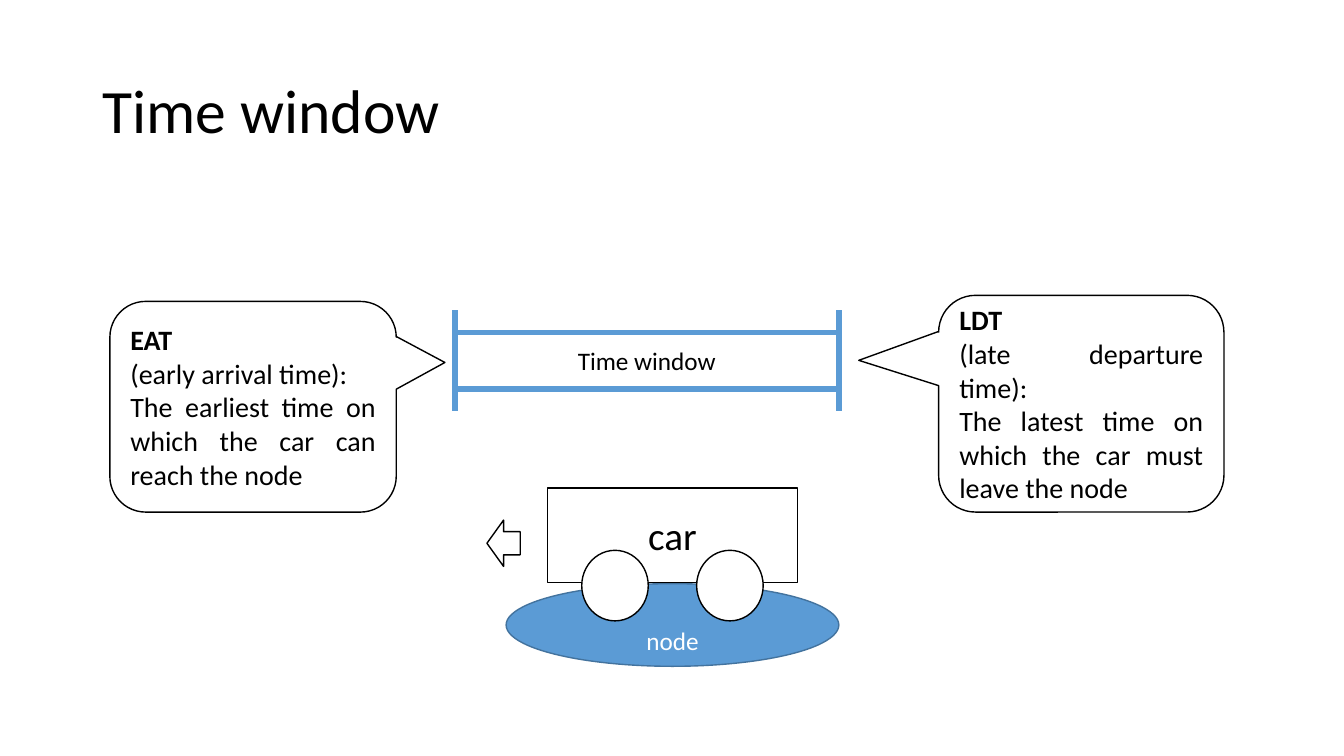
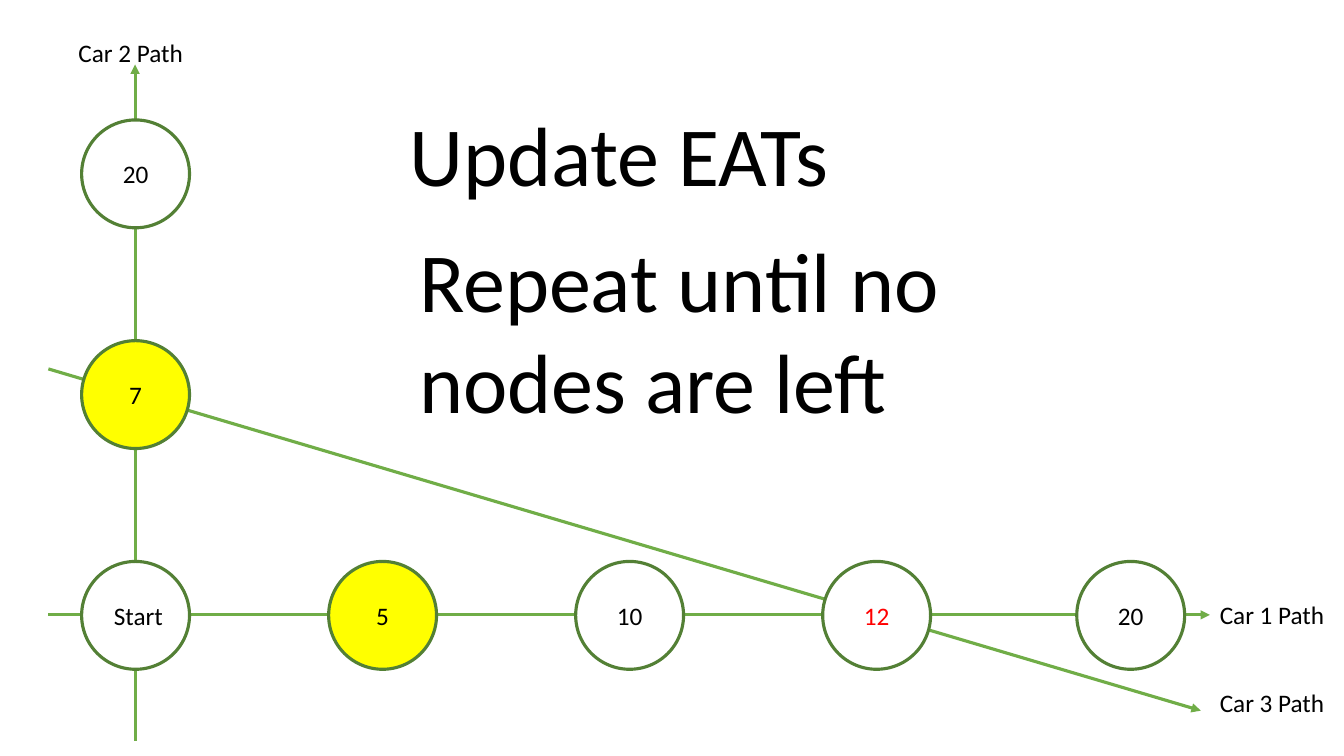
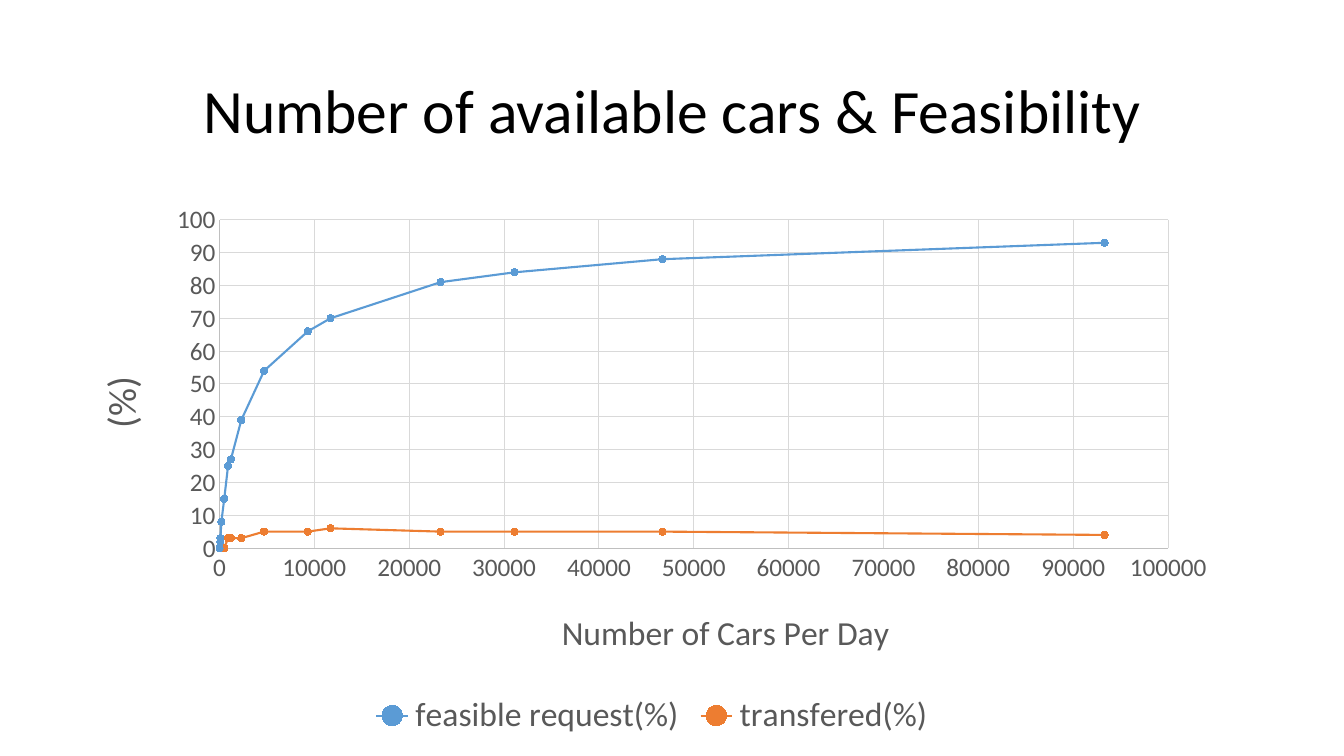
from lxml import etree
from pptx import Presentation
from pptx import util as u
from pptx.chart.data import XyChartData
from pptx.dml.color import RGBColor
from pptx.enum import chart as charts, shapes, text
from pptx.oxml.ns import qn

FONT = "Calibri"
BLACK = RGBColor(0x00, 0x00, 0x00)
WHITE = RGBColor(0xFF, 0xFF, 0xFF)
RED = RGBColor(0xFF, 0x00, 0x00)
YELLOW = RGBColor(0xFF, 0xFF, 0x00)
BLUE = RGBColor(0x5B, 0x9B, 0xD5)
DARK_BLUE = RGBColor(0x43, 0x73, 0x9E)
GREEN = RGBColor(0x70, 0xAD, 0x47)
DARK_GREEN = RGBColor(0x53, 0x80, 0x35)
ORANGE = RGBColor(0xED, 0x7D, 0x31)
GRAY = RGBColor(0x59, 0x59, 0x59)
AXIS_GRAY = RGBColor(0xBF, 0xBF, 0xBF)
GRID_GRAY = RGBColor(0xD9, 0xD9, 0xD9)

SHAPE = shapes.MSO_SHAPE
ALIGN = text.PP_ALIGN
ANCHOR = text.MSO_ANCHOR

NODE_SIZE = 1.07
COLUMN_STEP, ROW_STEP = 2.45, 2.19
START_LEFT, START_TOP = 0.81, 5.57

CARS_PER_DAY = [0, 0, 100, 100, 200, 500, 900, 1200, 2300, 4700, 9300,
                11700, 23300, 31100, 46700, 93300]
SERIES = [
    ("feasible request(%)", BLUE,
     [0, 0, 2, 3, 8, 15, 25, 27, 39, 54, 66, 70, 81, 84, 88, 93]),
    ("transfered(%)", ORANGE,
     [0, 0, 0, 0, 0, 0, 3, 3, 3, 5, 5, 6, 5, 5, 5, 4]),
]


def inches(values):
    return [u.Inches(value) for value in values]


def style_font(font, size, color, bold=False):
    font.name = FONT
    font.size = u.Pt(size)
    font.color.rgb = color
    font.bold = bold


def style_line(line, color, width):
    line.color.rgb = color
    line.width = u.Pt(width)


def write_text(frame, content, size=18, color=BLACK, align=ALIGN.LEFT,
               anchor=ANCHOR.TOP, bold_first=False, line_spacing=None):
    """Fill a text frame; each line of content becomes a paragraph."""
    frame.text = content
    frame.word_wrap = True
    frame.vertical_anchor = anchor
    for index, paragraph in enumerate(frame.paragraphs):
        paragraph.alignment = align
        paragraph.line_spacing = line_spacing
        for run in paragraph.runs:
            style_font(run.font, size, color, bold_first and index == 0)


def add_text(slide, box, content, **text_format):
    text_box = slide.shapes.add_textbox(*inches(box))
    write_text(text_box.text_frame, content, **text_format)


def add_title(slide, content, align=ALIGN.LEFT):
    add_text(slide, (0.92, 0.4, 11.5, 1.45), content, size=44, align=align,
             anchor=ANCHOR.MIDDLE, line_spacing=0.9)


def add_box(slide, kind, box, content="", fill=WHITE, line=BLACK, width=1,
            align=ALIGN.CENTER, **text_format):
    shape = slide.shapes.add_shape(kind, *inches(box))
    shape.shadow.inherit = False
    shape.fill.solid()
    shape.fill.fore_color.rgb = fill
    style_line(shape.line, line, width)
    if content:
        write_text(shape.text_frame, content, align=align,
                   anchor=ANCHOR.MIDDLE, **text_format)
    return shape


def add_callout(slide, box, pointer, content):
    callout = add_box(slide, SHAPE.ROUNDED_RECTANGULAR_CALLOUT, box, content,
                      size=20, align=ALIGN.JUSTIFY, bold_first=True)
    for index, value in enumerate(pointer):
        callout.adjustments[index] = value


def add_line(slide, start, end, color, width, arrow=False):
    line = slide.shapes.add_connector(shapes.MSO_CONNECTOR.STRAIGHT,
                                      *inches(start + end))
    style_line(line.line, color, width)
    if arrow:
        etree.SubElement(line.line._get_or_add_ln(), qn("a:tailEnd"), type="triangle")
    etree.SubElement(line._element.spPr, qn("a:effectLst"))


def add_node(slide, left, top, label, fill=WHITE, color=BLACK):
    add_box(slide, SHAPE.OVAL, (left, top, NODE_SIZE, NODE_SIZE), label,
            fill=fill, line=DARK_GREEN, width=2.25, color=color)


def set_layout(parent, index, target=None, **fractions):
    """Place a chart part by fractions of the chart's size."""
    for old_layout in parent.findall(qn("c:layout")):
        parent.remove(old_layout)
    layout = etree.Element(qn("c:layout"))
    parent.insert(index, layout)
    manual = etree.SubElement(layout, qn("c:manualLayout"))
    if target:
        etree.SubElement(manual, qn("c:layoutTarget"), val=target)
    for mode in ("xMode", "yMode"):
        etree.SubElement(manual, qn("c:" + mode), val="edge")
    for name, value in fractions.items():
        etree.SubElement(manual, qn("c:" + name), val=str(value))


def style_axis(axis, title, title_size, maximum, step, x, y):
    axis.minimum_scale, axis.maximum_scale, axis.major_unit = 0, maximum, step
    axis.major_tick_mark = axis.minor_tick_mark = charts.XL_TICK_MARK.NONE
    axis.has_major_gridlines = True
    style_line(axis.major_gridlines.format.line, GRID_GRAY, 0.75)
    style_line(axis.format.line, AXIS_GRAY, 0.75)
    style_font(axis.tick_labels.font, 18, GRAY)
    axis.tick_labels.number_format = "General"
    axis.tick_labels.number_format_is_linked = False
    frame = axis.axis_title.text_frame
    frame.text = title
    style_font(frame.paragraphs[0].runs[0].font, title_size, GRAY)
    set_layout(axis.axis_title._element, 1, x=x, y=y)


def add_scatter(slide, box):
    data = XyChartData()
    for name, _, percentages in SERIES:
        series = data.add_series(name)
        for cars, percentage in zip(CARS_PER_DAY, percentages):
            series.add_data_point(cars, percentage)
    chart = slide.shapes.add_chart(charts.XL_CHART_TYPE.XY_SCATTER_SMOOTH,
                                   *inches(box), data).chart
    style_font(chart.font, 10, BLACK)
    chart.has_title = False
    chart.has_legend = True
    chart.legend.position = charts.XL_LEGEND_POSITION.BOTTOM
    chart.legend.include_in_layout = False
    style_font(chart.legend.font, 24, GRAY)
    style_axis(chart.category_axis, "Number of Cars Per Day", 24,
               100000, 10000, x=0.42, y=0.75)
    style_axis(chart.value_axis, "(%)", 28, 100, 10, x=0.03, y=0.33)
    set_layout(chart._chartSpace.chart.plotArea, 0, "inner",
               x=0.14, y=0.06, w=0.79, h=0.59)
    plot = chart.plots[0]
    plot.vary_by_categories = False
    for series, (_, color, _) in zip(plot.series, SERIES):
        series.smooth = True
        style_line(series.format.line, color, 1.5)
        series.marker.style = charts.XL_MARKER_STYLE.CIRCLE
        series.marker.size = 5
        series.marker.format.fill.solid()
        series.marker.format.fill.fore_color.rgb = color
        style_line(series.marker.format.line, color, 0.75)


def build_time_window(slide):
    add_title(slide, "Time window")
    node = add_box(slide, SHAPE.OVAL, (5.02, 5.79, 3.3, 0.82), "node",
                   fill=BLUE, line=DARK_BLUE, color=WHITE)
    node.text_frame.margin_top = u.Inches(0.3)
    node.text_frame.margin_bottom = 0
    add_box(slide, SHAPE.RECTANGLE, (5.43, 4.84, 2.48, 0.94), "car", size=28)
    for left in (5.77, 6.91):
        add_box(slide, SHAPE.OVAL, (left, 5.46, 0.66, 0.7))
    window_left, window_width = 4.51, 3.81
    for x in (window_left, window_left + window_width):
        add_line(slide, (x, 3.08), (x, 4.08), BLUE, 4)
    add_box(slide, SHAPE.RECTANGLE, (window_left, 3.3, window_width, 0.56),
            "Time window", line=BLUE, width=4)
    add_callout(slide, (1.09, 2.99, 2.84, 2.09), (0.67, -0.21, 0.17),
                "EAT\n(early arrival time):\n"
                "The earliest time on which the car can reach the node")
    add_callout(slide, (9.31, 2.93, 2.83, 2.15), (-0.78, -0.2, 0.17),
                "LDT\n(late departure time):\n"
                "The latest time on which the car must leave the node")
    add_box(slide, SHAPE.LEFT_ARROW, (4.83, 5.16, 0.33, 0.46))


def build_update_eats(slide):
    for start, end in [((0.48, 3.66), (11.91, 7.05)),
                       ((1.34, 7.35), (1.34, 0.64)),
                       ((0.48, 6.1), (12, 6.1))]:
        add_line(slide, start, end, GREEN, 2.25, arrow=True)
    for number, left, top in [(1, 12, 5.9), (2, 0.68, 0.32), (3, 12, 6.77)]:
        add_text(slide, (left, top, 1.33, 0.4), f"Car {number} Path")
    row = [(" Start", WHITE, BLACK), ("5", YELLOW, BLACK),
           ("10", WHITE, BLACK), ("12", WHITE, RED)]
    for column, (label, fill, color) in enumerate(row):
        add_node(slide, START_LEFT + column * COLUMN_STEP, START_TOP,
                 label, fill, color)
    add_node(slide, 10.68, START_TOP, "20")
    for level, (label, fill) in enumerate([("7", YELLOW), ("20", WHITE)], 1):
        add_node(slide, START_LEFT, START_TOP - level * ROW_STEP, label, fill)
    add_text(slide, (3.96, 0.97, 5.16, 1.11), "Update EATs", size=60)
    add_text(slide, (4.06, 2.22, 5.9, 2.12), "Repeat until no nodes are left",
             size=60)


def build_feasibility(slide):
    add_title(slide, "Number of available cars & Feasibility", ALIGN.CENTER)
    add_scatter(slide, (0.51, 1.85, 11.91, 5.52))


def main():
    presentation = Presentation()
    presentation.slide_width = u.Inches(13.33)
    presentation.slide_height = u.Inches(7.5)
    blank = presentation.slide_layouts[6]
    for build in (build_time_window, build_update_eats, build_feasibility):
        build(presentation.slides.add_slide(blank))
    presentation.save("out.pptx")


if __name__ == "__main__":
    main()
